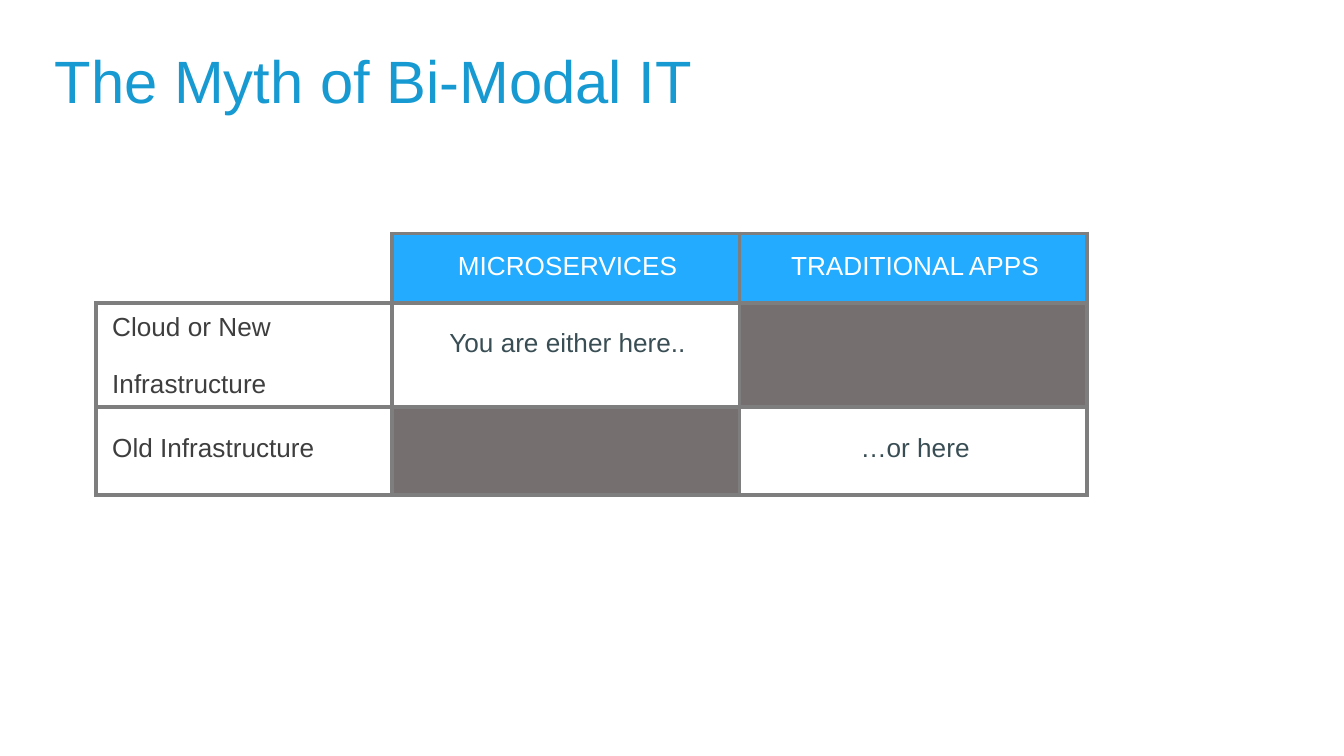
from dataclasses import dataclass

from lxml import etree
from pptx import Presentation
from pptx import util as u
from pptx.dml import color
from pptx.enum import text
from pptx.oxml import ns

Pt = u.Pt


@dataclass(frozen=True)
class Theme:
    font: str = "Arial"
    title_size: float = 32
    body_size: float = 14
    title: str = "179AD1"
    header: str = "23ACFF"
    header_text: str = "FFFFFF"
    label: str = "3E3E3E"
    answer: str = "394E54"
    blocked: str = "756F6F"
    border: str = "7E7E7E"
    border_width: float = 2.25


@dataclass(frozen=True)
class Entry:
    words: str = ""
    ink: str = ""
    fill: str = ""
    top: float = 0
    left: float = 2
    align: text.PP_ALIGN = text.PP_ALIGN.CENTER


THEME = Theme()
COLUMNS = (158.5, 186.2, 186.2)
ROWS = (37.5, 55.7, 47)


def style_runs(paragraph, size, ink):
    for run in paragraph.runs:
        run.font.name = THEME.font
        run.font.size = Pt(size)
        run.font.color.rgb = color.RGBColor.from_string(ink)


def draw_borders(cell, sides):
    """Add solid lines on the given sides, ahead of the cell's fill."""
    properties = cell._tc.get_or_add_tcPr()
    for position, side in enumerate(sides):
        line = etree.Element(ns.qn(f"a:ln{side}"), w=str(Pt(THEME.border_width)))
        solid = etree.SubElement(line, ns.qn("a:solidFill"))
        etree.SubElement(solid, ns.qn("a:srgbClr"), val=THEME.border)
        properties.insert(position, line)


def add_title(slide, left, top, width, height):
    title = slide.shapes.title
    title.left, title.top, title.width, title.height = map(Pt, (left, top, width, height))
    frame = title.text_frame
    frame.text = "The Myth of Bi-Modal IT"
    frame.word_wrap = False
    frame.vertical_anchor = text.MSO_ANCHOR.TOP
    frame.margin_left = frame.margin_right = frame.margin_bottom = 0
    frame.margin_top = Pt(1.4)
    frame.paragraphs[0].alignment = text.PP_ALIGN.LEFT
    style_runs(frame.paragraphs[0], THEME.title_size, THEME.title)


def fill_cell(cell, entry):
    if entry.fill:
        cell.fill.solid()
        cell.fill.fore_color.rgb = color.RGBColor.from_string(entry.fill)
    else:
        cell.fill.background()
    cell.margin_left, cell.margin_top = Pt(entry.left), Pt(entry.top)
    cell.margin_right = cell.margin_bottom = 0
    cell.vertical_anchor = text.MSO_ANCHOR.TOP
    if entry.words:
        cell.text_frame.text = entry.words
        for index, paragraph in enumerate(cell.text_frame.paragraphs):
            paragraph.alignment = entry.align
            paragraph.space_before = Pt(15 if index else 0)
            style_runs(paragraph, THEME.body_size, entry.ink)


def add_matrix(slide, left, top, width, height):
    def header(words):
        return Entry(words, THEME.header_text, THEME.header, top=10.1)

    def label(words, inset):
        return Entry(words, THEME.label, top=inset, left=8.6, align=text.PP_ALIGN.LEFT)

    def answer(words, inset):
        return Entry(words, THEME.answer, top=inset)

    blocked = Entry(fill=THEME.blocked)
    entries = (
        (Entry(), header("MICROSERVICES"), header("TRADITIONAL APPS")),
        (label("Cloud or New\nInfrastructure", 5), answer("You are either here..", 13.5), blocked),
        (label("Old Infrastructure", 14), blocked, answer("…or here", 14)),
    )
    box = map(Pt, (left, top, width, height))
    table = slide.shapes.add_table(len(ROWS), len(COLUMNS), *box).table
    table.first_row = table.horz_banding = False
    for column, column_width in zip(table.columns, COLUMNS):
        column.width = Pt(column_width * width / sum(COLUMNS))
    for row, row_height in zip(table.rows, ROWS):
        row.height = Pt(row_height * height / sum(ROWS))
    for r, row_entries in enumerate(entries):
        for c, entry in enumerate(row_entries):
            cell = table.cell(r, c)
            fill_cell(cell, entry)
            # The corner cell is open at the left and the top
            draw_borders(cell, "RB" if r == c == 0 else "LRTB")


def main():
    deck = Presentation()
    deck.slide_width, deck.slide_height = Pt(720), Pt(405)
    slide = deck.slides.add_slide(deck.slide_layouts[5])
    add_title(slide, 29.3, 22.3, 343, 40.3)
    add_matrix(slide, 51.5, 125, sum(COLUMNS), sum(ROWS))
    deck.save("out.pptx")


if __name__ == "__main__":
    main()
